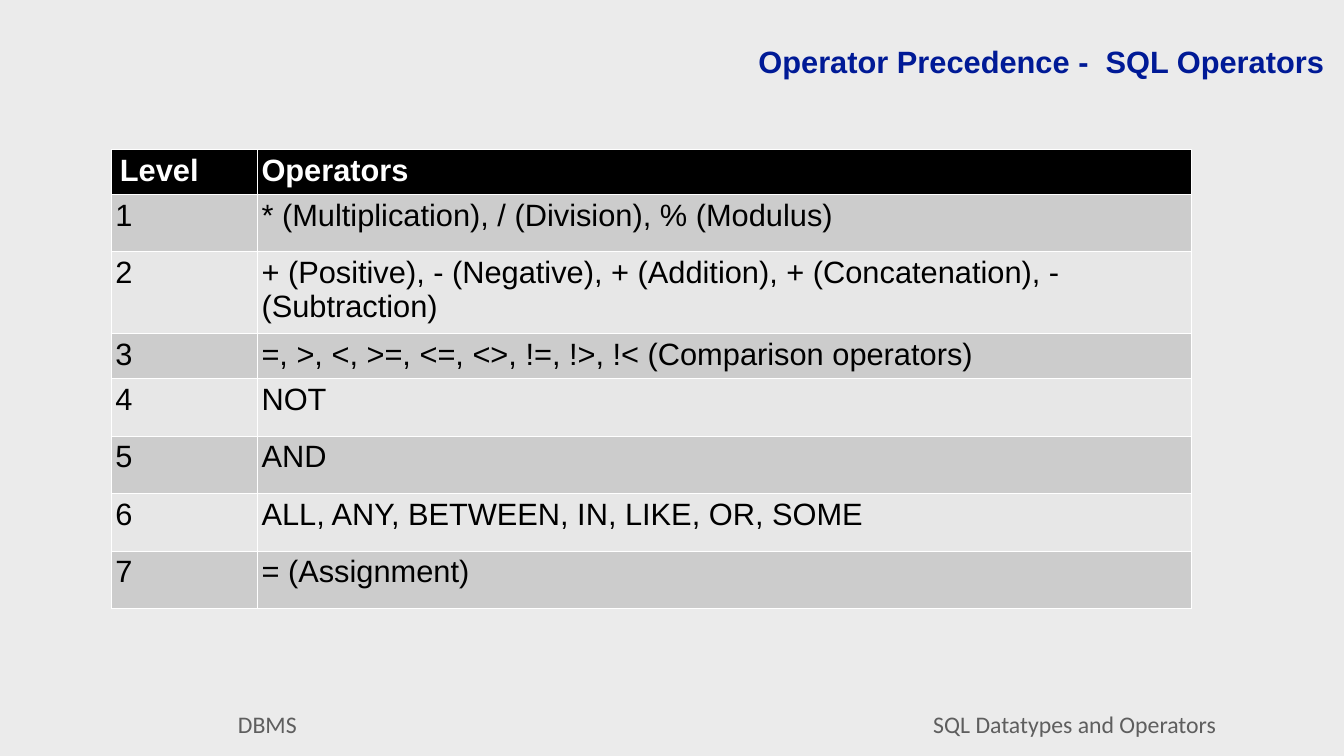
from pptx import Presentation
from pptx.dml.color import RGBColor
from pptx.enum.shapes import MSO_SHAPE
from pptx.enum.text import MSO_ANCHOR, PP_ALIGN
from pptx.oxml import parse_xml
from pptx.oxml.ns import nsdecls
from pptx.util import Inches, Pt

RECTANGLE = MSO_SHAPE.RECTANGLE
MIDDLE = MSO_ANCHOR.MIDDLE
CENTER, RIGHT = PP_ALIGN.CENTER, PP_ALIGN.RIGHT

BACKGROUND = "EBEBEB"
BANDS = ("CCCCCC", "E7E7E7")
COLUMN_WIDTHS = (2.9, 18.54)
ROW_HEIGHT = 1.14
SPECIAL_HEIGHTS = {0: 0.59, 3: 0.69}
OPERATORS = (
    "* (Multiplication), / (Division), % (Modulus)",
    "+ (Positive), - (Negative), + (Addition), + (Concatenation), - (Subtraction)",
    "=, >, <, >=, <=, <>, !=, !>, !< (Comparison operators)",
    "NOT",
    "AND",
    "ALL, ANY, BETWEEN, IN, LIKE, OR, SOME",
    "= (Assignment)",
)


def color(value):
    return RGBColor.from_string(value)


def paint(fill, value):
    fill.solid()
    fill.fore_color.rgb = color(value)


def set_text(text_frame, text, size, font_name, text_color, bold=False, align=None):
    text_frame.text = text
    paragraph = text_frame.paragraphs[0]
    paragraph.alignment = align
    font = paragraph.runs[0].font
    font.size = Pt(size)
    font.name = font_name
    font.bold = bold
    font.color.rgb = color(text_color)


def set_margins(target, margin):
    target.margin_left = target.margin_right = Inches(margin)
    target.margin_top = target.margin_bottom = Inches(margin)


def add_title(slide, text):
    shape = slide.shapes.add_textbox(Inches(9.73), Inches(0.78), Inches(16.62), Inches(0.85))
    text_frame = shape.text_frame
    text_frame.word_wrap = True
    text_frame.vertical_anchor = MIDDLE
    set_margins(text_frame, 0.06)
    set_text(text_frame, text, 44, "Arial", "001A96", bold=True, align=RIGHT)


def add_footer(slide, left, text):
    shape = slide.shapes.add_shape(
        RECTANGLE, Inches(left), Inches(13.97), Inches(9.77), Inches(0.78))
    shape.shadow.inherit = False
    paint(shape.fill, BACKGROUND)
    shape.line.fill.background()
    text_frame = shape.text_frame
    text_frame.word_wrap = True
    text_frame.vertical_anchor = MIDDLE
    set_margins(text_frame, 0)
    set_text(text_frame, text, 34, "Calibri", "5E5E5E", align=CENTER)


def add_borders(cell):
    properties = cell._tc.get_or_add_tcPr()
    # Border lines come before the fill in the cell properties
    for index, side in enumerate(("lnL", "lnR", "lnT", "lnB")):
        properties.insert(index, parse_xml(
            f'<a:{side} {nsdecls("a")} w="{Pt(1)}"><a:solidFill>'
            f'<a:srgbClr val="FFFFFF"/></a:solidFill></a:{side}>'))


def format_cell(cell, text, fill_color, text_color, bold):
    set_margins(cell, 0.08)
    set_text(cell.text_frame, text, 44, "Arial", text_color, bold)
    paint(cell.fill, fill_color)
    add_borders(cell)


def add_precedence_table(slide):
    rows = [("Level", "Operators")]
    rows += [(str(level), names) for level, names in enumerate(OPERATORS, 1)]
    heights = [SPECIAL_HEIGHTS.get(index, ROW_HEIGHT) for index in range(len(rows))]
    table = slide.shapes.add_table(
        len(rows), len(COLUMN_WIDTHS), Inches(2.21), Inches(2.96),
        Inches(sum(COLUMN_WIDTHS)), Inches(sum(heights))).table
    for column, width in zip(table.columns, COLUMN_WIDTHS):
        column.width = Inches(width)
    for index, (texts, height) in enumerate(zip(rows, heights)):
        table.rows[index].height = Inches(height)
        header = index == 0
        fill_color = "000000" if header else BANDS[(index - 1) % 2]
        text_color = "FFFFFF" if header else "000000"
        for cell, text in zip(table.rows[index].cells, texts):
            format_cell(cell, text, fill_color, text_color, header)
    table.cell(0, 0).margin_left = Inches(0.17)


def main():
    presentation = Presentation()
    presentation.slide_width = Inches(26.67)
    presentation.slide_height = Inches(15)
    slide = presentation.slides.add_slide(presentation.slide_layouts[6])
    paint(slide.background.fill, BACKGROUND)

    # Footer and title
    add_footer(slide, 0.42, "DBMS")
    add_title(slide, "Operator Precedence -  SQL Operators")
    add_footer(slide, 16.44, "SQL Datatypes and Operators")

    # Operator precedence levels
    add_precedence_table(slide)
    presentation.save("out.pptx")


if __name__ == "__main__":
    main()
